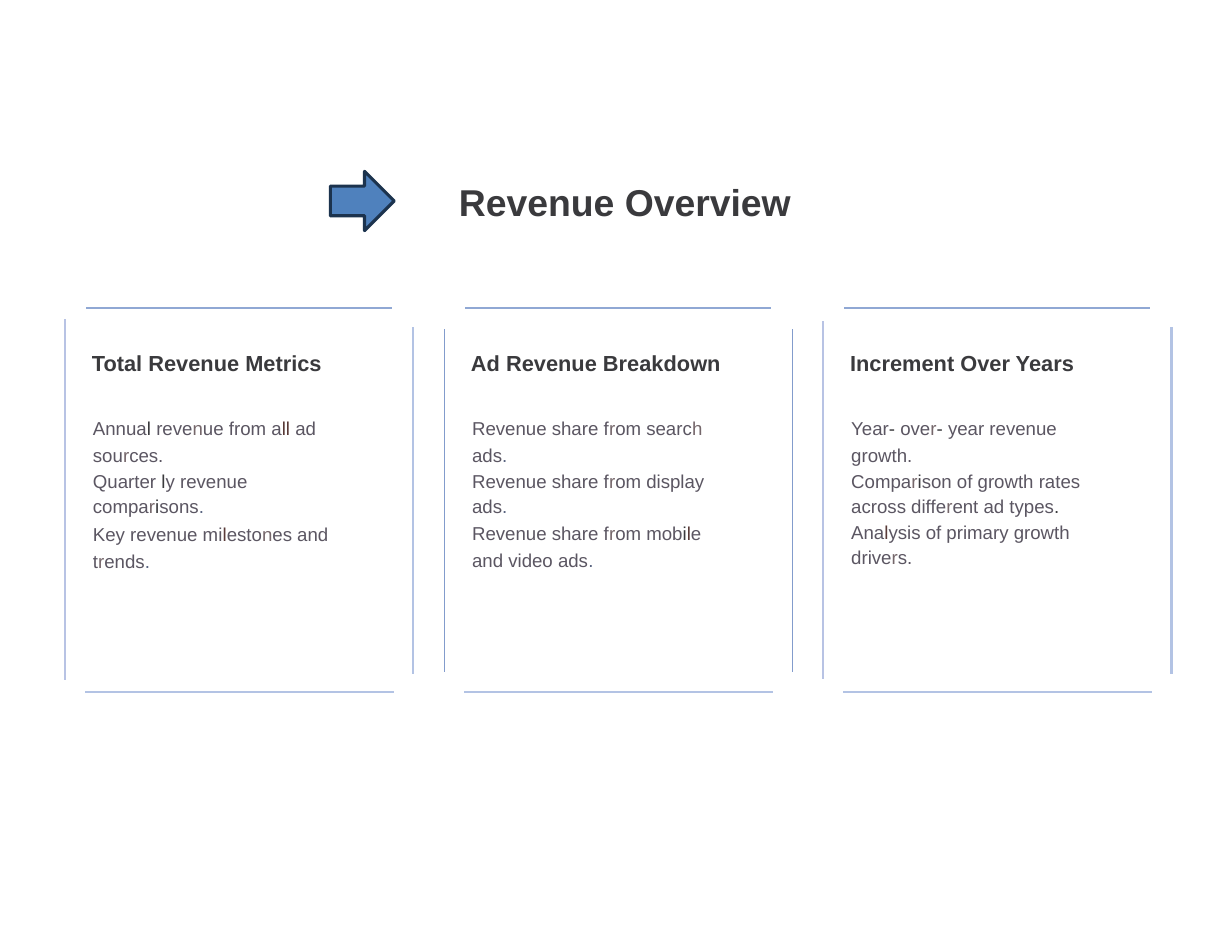
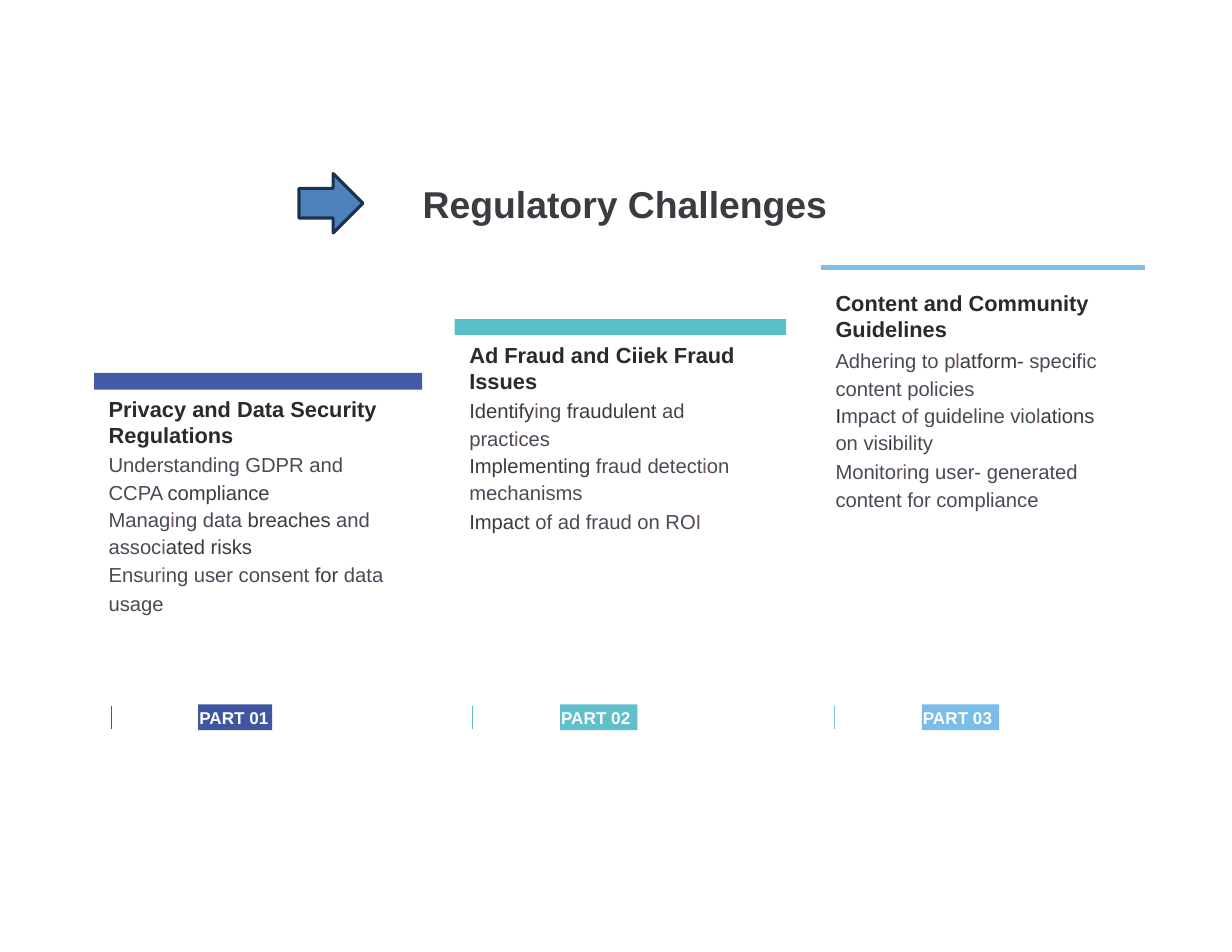
import pptx
import pptx.util
import pptx.dml.color
import pptx.enum.shapes
import pptx.enum.text
import pptx.oxml

Inches = pptx.util.Inches
Pt = pptx.util.Pt
SHAPE = pptx.enum.shapes.MSO_SHAPE
ALIGN = pptx.enum.text.PP_ALIGN
ANCHOR = pptx.enum.text.MSO_ANCHOR

FONT = "Arial"
HUES = {
    "arrow": "4F81BD", "edge": "1C334E",
    "ink": "3A3A3D", "slate": "5B5662", "dust": "75676B",
    "rust": "593A38", "steel": "596480",
    "coal": "3D3A41", "stone": "4D4856", "plum": "72525D", "black": "2A2A2A",
    "top": "90A8D4", "side": "B8C3E4", "base": "B3C3E4", "mid": "839CCC",
    "navy": "445BA8", "teal": "5BBFC8", "sky": "7CBFE8",
    "navy tag": "3F56A3", "teal tag": "60BFCA", "sky tag": "79BDE8",
    "white": "FDFDFD",
}

FRAMES = [
    ("Total Revenue Metrics", "side", 1.39, (2.85, 6.07), (2.92, 6.02), [
        (1.21, 0, "Annua[ink:l ]reve[dust:n]ue from a[rust:ll ]ad sou[dust:r]ces."),
        (1.12, 0.7, "Quarter [ink:l]y revenue compa[dust:r][ink:i]sons[steel:.]"),
        (Pt(17.5), 0.3, "Key revenue mi[rust:l]esto[dust:n]es and t[dust:r]ends[steel:.]"),
    ]),
    ("Ad Revenue Breakdown", "mid", 0.71, (2.94, 6), (2.94, 6), [
        (1.21, 0, "Revenue share f[dust:r]om searc[dust:h ]ads[steel:.]"),
        (1.12, 0.7, "Revenue share f[dust:r]om display ads[steel:.]"),
        (1.2, 0, "Revenue share f[dust:r]om mob[ink:i][rust:l]e and video ads[steel:.]"),
    ]),
    ("Increment Over Years", "side", 1.39, (2.87, 6.06), (2.92, 6.02), [
        (1.21, 0, "Year[ink:- ]ove[dust:r][ink:- ]year revenue growth."),
        (1.12, 0.7, "Compa[dust:r][ink:i]son of growth rates across diffe[dust:r]ent ad types[ink:.]"),
        (1.12, 0.7, "Ana[rust:l]ysis of primary growth drive[dust:r]s."),
    ]),
]

STEPS = [
    ("navy", (0.84, 3.33, 2.93, 0.15), 0.66, "Privacy and Data Security Regulations", [
        (1.16, 0.4, "Understanding GDPR and CCPA [coal:compliance]"),
        (1.08, 0.7, "Manag[plum:i]ng data [coal:breaches ]and assoc[plum:i][coal:ated risks]"),
        (Pt(18.2), 0.3, "Ensu[plum:ri]ng user consent [coal:for ]data usage"),
    ]),
    ("teal", (4.06, 2.85, 2.96, 0.14), 0.69, "Ad Fraud and Ciiek Fraud Issues", [
        (Pt(18.2), 0, "[coal:Identify][plum:i]ng [coal:fraudulent ]ad pract[plum:i]ces"),
        (1.12, 0, "[coal:Implementing ]fraud detect[plum:i]on mechanisms"),
        (1.12, 0.7, "[coal:Impact ]of ad fraud on RO[plum:I]"),
    ]),
    ("sky", (7.33, 2.39, 2.89, 0), 0.69, "Content and Community Guidelines", [
        (1.16, 1.1, "Adhering to p[plum:l][coal:atform- ]spec[black:i]fic content policies"),
        (Pt(17.5), 0.1, "[black:I]mpact of gu[black:i]deline vio[plum:l][coal:ations ]on vis[black:i]bility"),
        (Pt(18.2), 0.1, "Monito[plum:ri]ng user- generated content for compliance"),
    ]),
]


def tint(name):
    return pptx.dml.color.RGBColor.from_string(HUES[name])


def rule(slide, start, end, hue, weight):
    line = slide.shapes.add_connector(
        pptx.enum.shapes.MSO_CONNECTOR.STRAIGHT, *map(Inches, start + end))
    line.line.color.rgb = tint(hue)
    line.line.width = Pt(weight)
    line._element.spPr.append(pptx.oxml.parse_xml(
        '<a:effectLst xmlns:a="http://schemas.openxmlformats.org/drawingml/2006/main"/>'))


def shape(slide, kind, box, hue):
    item = slide.shapes.add_shape(kind, *map(Inches, box))
    item.shadow.inherit = False
    item.fill.solid()
    item.fill.fore_color.rgb = tint(hue)
    item.line.fill.background()
    return item


def frame(item, inset=0):
    text = item.text_frame
    text.margin_right = text.margin_top = text.margin_bottom = 0
    text.margin_left = Inches(inset)
    return text


def block(slide, box):
    text = frame(slide.shapes.add_textbox(*map(Inches, box)))
    text.word_wrap = True
    return text


def style(para, size, hue, bold=False):
    para.font.name = FONT
    para.font.size = Pt(size)
    para.font.bold = bold
    para.font.color.rgb = tint(hue)


def label(para, words, size, hue):
    para.text = words
    style(para, size, hue, True)


def points(text, items, size, hue, first):
    for space, before, words in items:
        para = text.paragraphs[0] if first else text.add_paragraph()
        first = False
        style(para, size, hue)
        para.line_spacing = space
        para.space_before = Pt(before)
        head, *marks = words.split("[")
        if head:
            para.add_run().text = head
        for mark in marks:
            span, _, rest = mark.partition("]")
            name, _, part = span.partition(":")
            run = para.add_run()
            run.text = part
            run.font.color.rgb = tint(name)
            if rest:
                para.add_run().text = rest


def title(slide, words, left, top, hue):
    text = block(slide, (0.16, top - 0.13, 10.84, 0.8))
    text.vertical_anchor = ANCHOR.MIDDLE
    label(text.paragraphs[0], words, 24, hue)
    text.paragraphs[0].alignment = ALIGN.CENTER
    arrow = shape(slide, SHAPE.RIGHT_ARROW, (left, top, 0.57, 0.53), "arrow")
    arrow.line.color.rgb = tint("edge")
    arrow.line.width = Pt(2)


def panel(slide, x, y, data):
    words, hue, weight, left, right, items = data
    rule(slide, (x + 0.19, y), (x + 2.92, y), "top", 0.71)
    rule(slide, (x + 0.18, y + 3.43), (x + 2.94, y + 3.43), "base", 1.39)
    rule(slide, (x, left[0]), (x, left[1]), hue, weight)
    rule(slide, (x + 3.11, right[0]), (x + 3.11, right[1]),
         "base" if hue == "side" else hue, weight)
    head = block(slide, (x + 0.24, y + 0.37, 2.5, 0.23))
    label(head.paragraphs[0], words, 14, "ink")
    body = block(slide, (x + 0.25, y + 0.93, 2.28, 1.43))
    points(body, items, 12, "slate", True)


def step(slide, box, hue, words, items):
    x, y, wide, high = box
    if high:
        shape(slide, SHAPE.RECTANGLE, box, hue)
    else:
        rule(slide, (x, y), (x + wide, y), hue, 2.81)
    text = block(slide, (x + 0.13, y + 0.2, 2.55, 1.96))
    label(text.paragraphs[0], words, 14, "black")
    points(text, items, 13, "stone", False)


def badge(slide, x, y, wide, hue, words):
    rule(slide, (x, y + 0.01), (x, y + 0.22), hue, 0.25)
    chip = shape(slide, SHAPE.RECTANGLE, (x + 0.78, y, wide, 0.23), hue)
    text = frame(chip, 0.01)
    text.word_wrap = False
    text.vertical_anchor = ANCHOR.MIDDLE
    label(text.paragraphs[0], words, 11, "white")
    text.paragraphs[0].alignment = ALIGN.LEFT


def income(slide):
    title(slide, "Revenue Overview", 2.95, 1.53, "ink")
    for i, data in enumerate(FRAMES):
        panel(slide, 0.58 + 3.385 * i, 2.75, data)


def rules(slide):
    title(slide, "Regulatory Challenges", 2.67, 1.55, "coal")
    for i, (hue, box, wide, words, items) in enumerate(STEPS):
        step(slide, box, hue, words, items)
        badge(slide, 0.99 + 3.23 * i, 6.29, wide, hue + " tag", f"PART {i + 1:02}")


def main():
    deck = pptx.Presentation()
    deck.slide_width = Inches(11)
    deck.slide_height = Inches(8.5)
    for build in (income, rules):
        build(deck.slides.add_slide(deck.slide_layouts[6]))
    deck.save("out.pptx")


if __name__ == "__main__":
    main()
